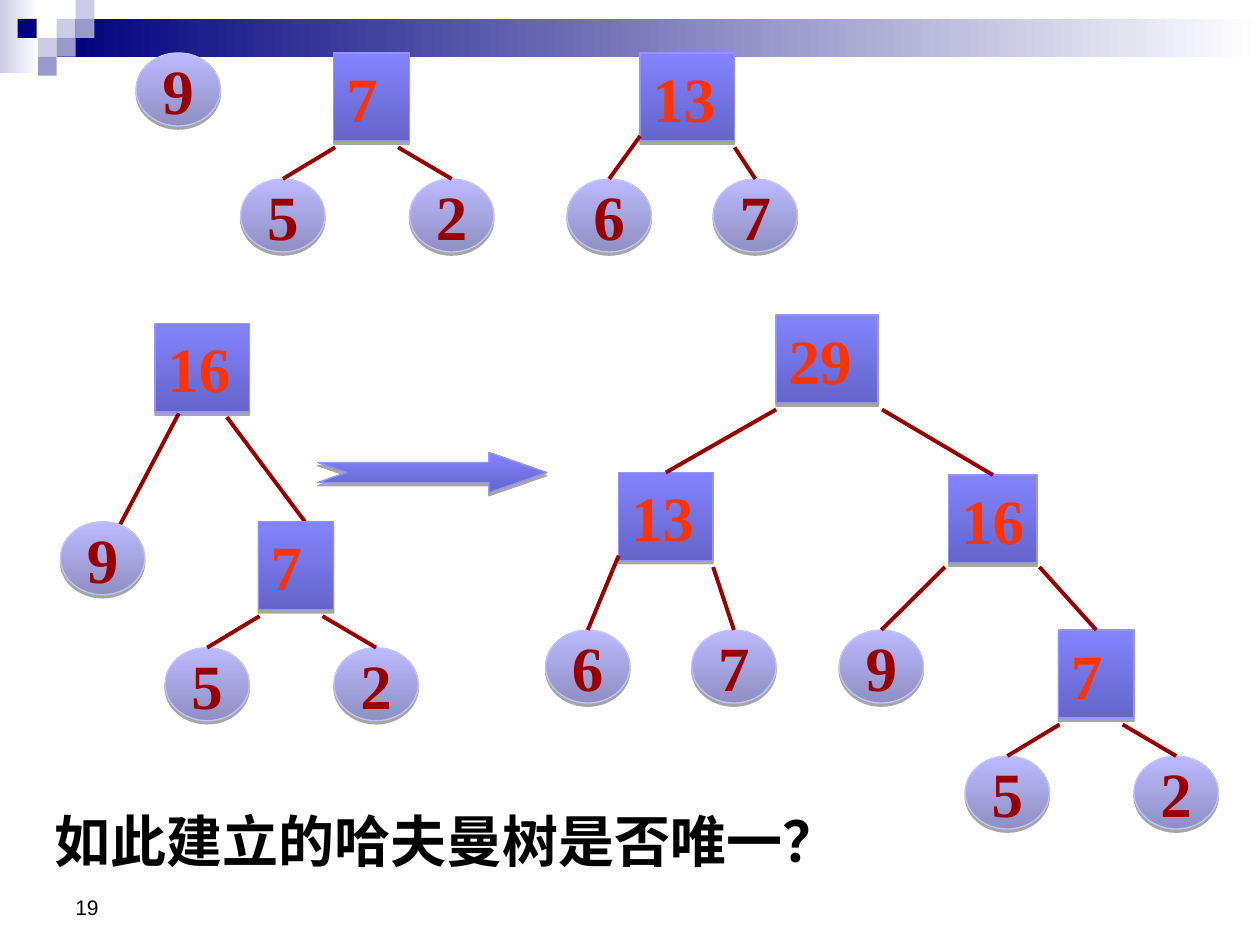
from dataclasses import dataclass

from lxml.etree import SubElement
from pptx import Presentation
from pptx.dml.color import RGBColor
from pptx.enum.shapes import MSO_CONNECTOR, MSO_SHAPE
from pptx.enum.text import MSO_ANCHOR, MSO_AUTO_SIZE, PP_ALIGN
from pptx.oxml.ns import qn
from pptx.util import Inches, Pt


@dataclass(frozen=True)
class Theme:
    navy: str = "00007D"
    lilac: str = "CCCCE6"
    violet: str = "9999CC"
    white: str = "FFFFFF"
    black: str = "000000"
    red: str = "990000"
    orange: str = "FF3300"
    leaf: tuple = ("8F8FC3", "BBBBFF")
    leaf_rim: str = "C4C4FB"
    root: tuple = ("6565C9", "8383FF")
    root_rim: str = "9393FC"
    serif: str = "Times New Roman"
    sans: str = "Arial"
    key: int = 36
    head: int = 32
    small: int = 12
    edge: float = 2.25
    rim: float = 0.75


THEME = Theme()
LEAF_W, LEAF_H, ROOT_H = 0.67, 0.58, 0.7


def write(shape, text, size=THEME.key, color=THEME.black, font=THEME.serif,
          bold=True, align=PP_ALIGN.LEFT, anchor=MSO_ANCHOR.TOP, wrap=True):
    frame = shape.text_frame
    frame.word_wrap = wrap
    frame.auto_size = MSO_AUTO_SIZE.NONE
    frame.vertical_anchor = anchor
    par = frame.paragraphs[0]
    par.alignment = align
    run = par.add_run()
    run.text = text
    run.font.name = font
    run.font.size = Pt(size)
    run.font.bold = bold
    run.font.color.rgb = RGBColor.from_string(color)


def blend(shape, colors, angle):
    shape.fill.gradient()
    shape.fill.gradient_angle = angle
    for stop, color in zip(shape.fill.gradient_stops, colors):
        stop.color.rgb = RGBColor.from_string(color)


def style(shape, colors, rim):
    """Give a shape its upright gradient, thin rim and hard drop shadow."""
    blend(shape, colors, 90)
    shape.line.color.rgb = RGBColor.from_string(rim)
    shape.line.width = Pt(THEME.rim)
    shape.shadow.inherit = False
    effects = shape._element.spPr.find(qn("a:effectLst"))
    drop = SubElement(effects, qn("a:outerShdw"), blurRad="0",
                      dist=str(Pt(1.8)), dir="5400000", rotWithShape="0")
    tint = SubElement(drop, qn("a:srgbClr"), val=THEME.black)
    SubElement(tint, qn("a:alpha"), val="35000")


def block(slide, x, y, w, h, fill):
    """Add a plain box; a pair of colours makes a left-to-right blend."""
    box = slide.shapes.add_shape(MSO_SHAPE.RECTANGLE, Inches(x), Inches(y),
                                 Inches(w), Inches(h))
    box.shadow.inherit = False
    box.line.fill.background()
    if isinstance(fill, tuple):
        blend(box, fill, 0)
    else:
        box.fill.solid()
        box.fill.fore_color.rgb = RGBColor.from_string(fill)


def leaf(slide, x, y, text):
    node = slide.shapes.add_shape(MSO_SHAPE.OVAL, Inches(x), Inches(y),
                                  Inches(LEAF_W), Inches(LEAF_H))
    style(node, THEME.leaf, THEME.leaf_rim)
    write(node, text, color=THEME.red, align=PP_ALIGN.CENTER,
          anchor=MSO_ANCHOR.MIDDLE, wrap=False)
    return node


def root(slide, x, y, w, text, wrap=True):
    node = slide.shapes.add_shape(MSO_SHAPE.RECTANGLE, Inches(x), Inches(y),
                                  Inches(w), Inches(ROOT_H))
    style(node, THEME.root, THEME.root_rim)
    write(node, text, color=THEME.orange, wrap=wrap)
    return node


def link(slide, x, y, child=None, end=(0, 0)):
    """Draw an edge from a point to the top of a child, or to an end point."""
    edge = slide.shapes.add_connector(MSO_CONNECTOR.STRAIGHT, Inches(x), Inches(y),
                                      Inches(end[0]), Inches(end[1]))
    if child is not None:
        edge.end_connect(child, 0)
    edge.line.color.rgb = RGBColor.from_string(THEME.red)
    edge.line.width = Pt(THEME.edge)
    SubElement(edge._element.spPr, qn("a:effectLst"))


def seven(slide, x, y):
    """Build the tree 7 = 5 + 2 and return its root."""
    link(slide, x + 0.75, y + 0.75, leaf(slide, x, y + 1, "5"))
    link(slide, x + 1.25, y + 0.75, leaf(slide, x + 1.34, y + 1, "2"))
    return root(slide, x + 0.74, y, 0.6, "7")


def thirteen(slide, x, y, drop):
    """Build the tree 13 = 6 + 7 and return its root."""
    left = leaf(slide, x, y + drop, "6")
    right = leaf(slide, x + 1.16, y + drop, "7")
    top = root(slide, x + 0.58, y, 0.75, "13")
    link(slide, x + 0.58, y + 0.66, left)
    link(slide, x + 1.33, y + 0.75, right)
    return top


def sixteen(slide):
    link(slide, 1.42, 3.28, end=(0.95, 4.17))
    link(slide, 1.8, 3.31, end=(2.42, 4.14))
    root(slide, 1.23, 2.57, 0.75, "16")
    leaf(slide, 0.48, 4.14, "9")
    seven(slide, 1.31, 4.14)


def final(slide):
    """Build the full tree 29 = 13 + 16."""
    left = thirteen(slide, 4.33, 3.75, 1.25)
    right = root(slide, 7.53, 3.77, 0.7, "16", wrap=False)
    root(slide, 6.16, 2.5, 0.81, "29")
    link(slide, 6.16, 3.25, left)
    link(slide, 7, 3.25, right)
    link(slide, 7.5, 4.5, leaf(slide, 6.66, 5, "9"))
    link(slide, 8.25, 4.5, seven(slide, 7.66, 5))


def arrow(slide):
    points = [(3.88, 3.67), (3.88, 3.59), (4.34, 3.75), (3.88, 3.91),
              (3.88, 3.83), (2.52, 3.83), (2.75, 3.75)]
    pen = slide.shapes.build_freeform(Inches(2.52), Inches(3.67))
    pen.add_line_segments([(Inches(x), Inches(y)) for x, y in points], close=True)
    style(pen.convert_to_shape(), THEME.root, THEME.root_rim)


def band(slide):
    block(slide, 0, 0, 0.31, 0.58, (THEME.lilac, THEME.white))
    block(slide, 0.45, 0.15, 9.55, 0.3, (THEME.navy, THEME.white))
    tiles = {
        THEME.lilac: [(0.45, 0.15), (0.6, 0), (0.3, 0.3)],
        THEME.violet: [(0.6, 0.15), (0.45, 0.3), (0.3, 0.45)],
        THEME.navy: [(0.14, 0.15)],
    }
    for color, spots in tiles.items():
        for x, y in spots:
            block(slide, x, y, 0.15, 0.15, color)


def words(slide):
    title = slide.shapes.title
    title.left, title.top = Inches(0.33), Inches(6.35)
    title.width, title.height = Inches(6.93), Inches(0.64)
    write(title, "如此建立的哈夫曼树是否唯一？", size=THEME.head)
    page = slide.shapes.add_textbox(Inches(0.5), Inches(6.83),
                                    Inches(2.33), Inches(0.52))
    write(page, "19", size=THEME.small, font=THEME.sans, bold=False,
          anchor=MSO_ANCHOR.BOTTOM)


def main():
    deck = Presentation()
    deck.slide_width, deck.slide_height = Inches(10), Inches(7.5)
    slide = deck.slides.add_slide(deck.slide_layouts[5])
    band(slide)
    leaf(slide, 1.08, 0.42, "9")
    seven(slide, 1.91, 0.42)
    thirteen(slide, 4.5, 0.42, 1)
    sixteen(slide)
    arrow(slide)
    final(slide)
    words(slide)
    deck.save("out.pptx")


if __name__ == "__main__":
    main()
